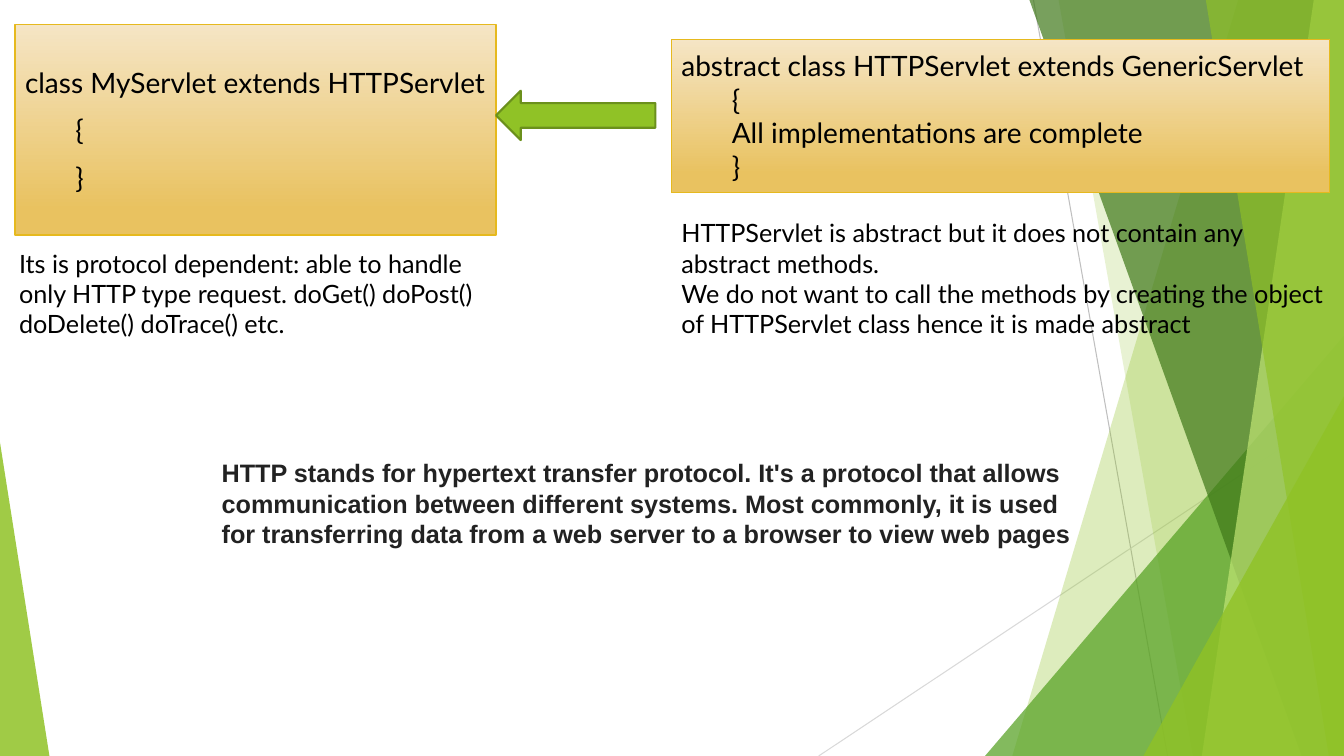
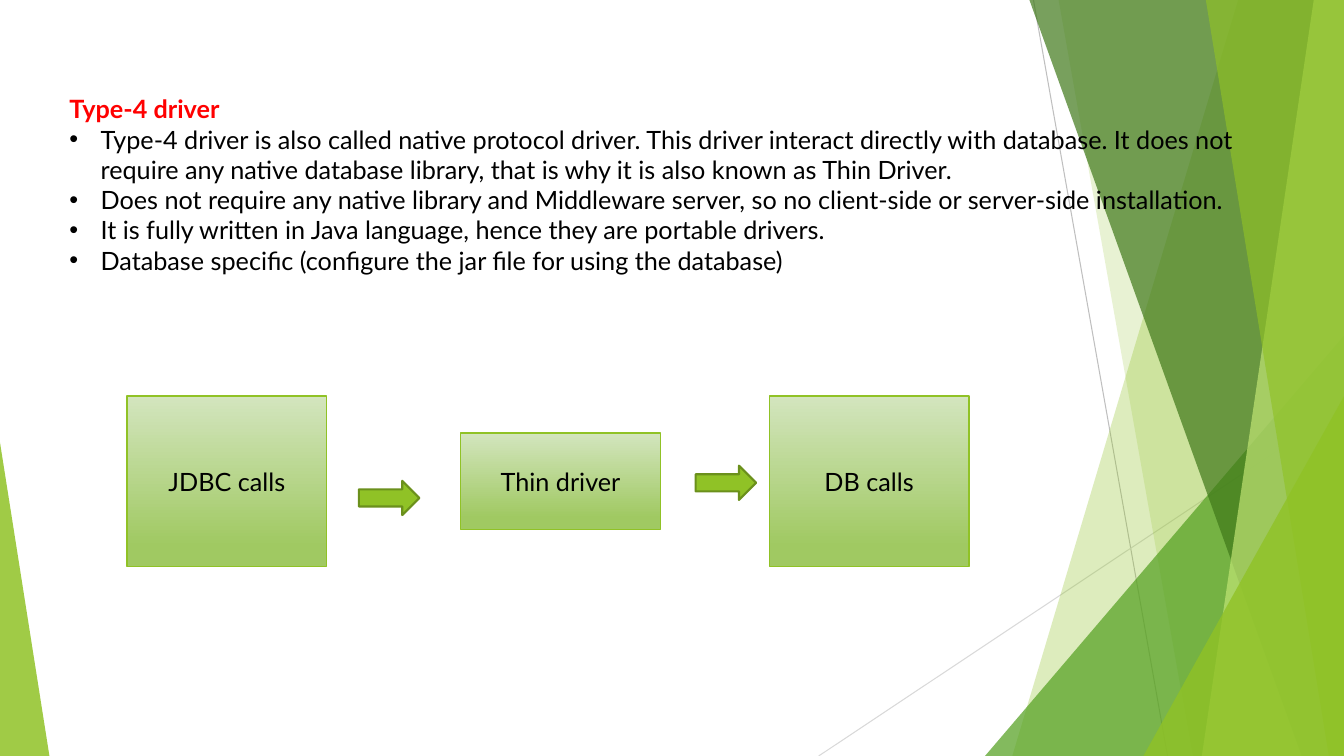
import dataclasses
import typing

import lxml.etree
import pptx
import pptx.dml.color
import pptx.enum.shapes
import pptx.enum.text
import pptx.oxml.ns
import pptx.util

Inches = pptx.util.Inches
Shape = pptx.enum.shapes.MSO_SHAPE
Align = pptx.enum.text.PP_ALIGN


@dataclasses.dataclass(frozen=True)
class Theme:
    """Colours, fonts and sizes shared by the slides."""

    lime: str = "90C226"
    lime_edge: str = "6B901C"
    pale_lime: str = "C0E474"
    leaf: str = "54A021"
    forest: str = "3F7819"
    ray: str = "BFBFBF"
    faint_ray: str = "D9D9D9"
    gold: tuple = ("F5E5C5", "E9C260")
    gold_edge: str = "E6B91E"
    green: tuple = ("D3E5BE", "A0C962")
    ink: str = "000000"
    soft_ink: str = "222222"
    heading: str = "FF0000"
    font: str = "Lato"
    note_font: str = "Arial"
    body_size: int = 18
    code_size: int = 20
    panel_line: float = 1
    arrow_line: float = 1.5
    ray_line: float = 0.75


THEME = Theme()


class Box(typing.NamedTuple):
    """A rectangle in inches."""

    left: float
    top: float
    width: float
    height: float

    def inside(self, left, top, width, height):
        """Return a box placed relative to this one."""
        return Box(self.left + left, self.top + top, width, height)

    def lengths(self):
        """Return the four sides as lengths."""
        return [Inches(value) for value in self]


PAGE = Box(0, 0, 13.33, 7.5)


def rgb(color):
    """Turn a hexadecimal string into a colour."""
    return pptx.dml.color.RGBColor.from_string(color)


def add_child(parent, tag, **attributes):
    """Append a DrawingML element with attributes."""
    child = lxml.etree.SubElement(parent, pptx.oxml.ns.qn(tag))
    for name, value in attributes.items():
        child.set(name, value)
    return child


def paint_glass(shape, color, opacity):
    """Fill a shape with a see-through colour and no outline."""
    shape.shadow.inherit = False
    shape.fill.solid()
    shape.fill.fore_color.rgb = rgb(color)
    shape.line.fill.background()
    solid = shape.element.spPr.xpath("./a:solidFill/a:srgbClr")[0]
    add_child(solid, "a:alpha", val=str(opacity * 1000))


def add_ray(slide, start, end, color):
    """Draw a thin background line."""
    ray = slide.shapes.add_connector(
        pptx.enum.shapes.MSO_CONNECTOR.STRAIGHT,
        *[Inches(value) for value in start + end],
    )
    ray.line.color.rgb = rgb(color)
    ray.line.width = pptx.util.Pt(THEME.ray_line)
    add_child(ray.element.spPr, "a:effectLst")


def add_band(slide, page, top_left, bottom_left, color, opacity):
    """Draw a slanted band that reaches the right edge of the page."""
    right, bottom = page.left + page.width, page.top + page.height
    corners = [(top_left, page.top), (right, page.top), (right, bottom), (bottom_left, bottom)]
    points = [(Inches(x), Inches(y)) for x, y in corners]
    builder = slide.shapes.build_freeform(*points[0])
    builder.add_line_segments(points[1:], close=True)
    paint_glass(builder.convert_to_shape(), color, opacity)


def add_corner(slide, page, width, height, peak, color, opacity):
    """Draw a right triangle standing in a lower corner of the page."""
    left = peak * (page.width - width)
    box = page.inside(left, page.height - height, width, height)
    corner = slide.shapes.add_shape(Shape.ISOSCELES_TRIANGLE, *box.lengths())
    corner.adjustments[0] = peak
    paint_glass(corner, color, opacity)


def draw_backdrop(slide, page):
    """Draw the faceted background shared by the slides."""
    add_ray(slide, (10.25, 0), (11.58, page.height), THEME.ray)
    add_ray(slide, (page.width, 4.03), (8.12, page.height), THEME.faint_ray)
    add_band(slide, page, 12.28, 10.04, THEME.lime, 30)
    add_band(slide, page, 10.5, 11.83, THEME.lime, 20)
    add_corner(slide, page, 3.56, 4.17, 1, THEME.leaf, 72)
    add_band(slide, page, 10.21, 12.91, THEME.forest, 70)
    add_band(slide, page, 13.03, 11.92, THEME.pale_lime, 70)
    add_band(slide, page, 11.96, 13.18, THEME.lime, 65)
    add_corner(slide, page, 1.99, 3.57, 1, THEME.lime, 80)
    add_corner(slide, page, 0.49, 3.11, 0, THEME.lime, 85)


def style_paragraph(paragraph, size, color=THEME.ink, font=THEME.font, bold=False):
    """Format every run of a paragraph."""
    for run in paragraph.runs:
        run.font.size = pptx.util.Pt(size)
        run.font.name = font
        run.font.bold = bold
        run.font.color.rgb = rgb(color)


def write_lines(shape, lines, size, alignment=Align.LEFT, **style):
    """Write one paragraph per line and return the paragraphs."""
    frame = shape.text_frame
    frame.word_wrap = True
    frame.text = "\n".join(lines)
    for paragraph in frame.paragraphs:
        paragraph.alignment = alignment
        style_paragraph(paragraph, size, **style)
    return frame.paragraphs


def indent_paragraph(paragraph, margin, first_line=0.0):
    """Set the left margin and first line indent and return the properties."""
    properties = paragraph._p.get_or_add_pPr()
    properties.set("marL", str(Inches(margin)))
    properties.set("indent", str(Inches(first_line)))
    return properties


def add_note(slide, box, lines, **style):
    """Add a plain text box and return its paragraphs."""
    note = slide.shapes.add_textbox(*box.lengths())
    paragraphs = write_lines(note, lines, THEME.body_size, **style)
    note.text_frame.auto_size = pptx.enum.text.MSO_AUTO_SIZE.SHAPE_TO_FIT_TEXT
    return paragraphs


def add_panel(slide, box, colors, edge):
    """Add a rectangle with a downward gradient."""
    panel = slide.shapes.add_shape(Shape.RECTANGLE, *box.lengths())
    panel.shadow.inherit = False
    panel.fill.gradient()
    panel.fill.gradient_angle = 270
    for stop, color, position in zip(panel.fill.gradient_stops, colors, (0, 0.88)):
        stop.color.rgb = rgb(color)
        stop.position = position
    panel.line.color.rgb = rgb(edge)
    panel.line.width = pptx.util.Pt(THEME.panel_line)
    panel.text_frame.vertical_anchor = pptx.enum.text.MSO_ANCHOR.MIDDLE
    return panel


def add_arrow(slide, box, kind):
    """Add a block arrow."""
    arrow = slide.shapes.add_shape(kind, *box.lengths())
    arrow.shadow.inherit = False
    arrow.fill.solid()
    arrow.fill.fore_color.rgb = rgb(THEME.lime)
    arrow.line.color.rgb = rgb(THEME.lime_edge)
    arrow.line.width = pptx.util.Pt(THEME.arrow_line)


def add_class_panel(slide, box, lines, space_before=0):
    """Add a gold panel with a class declaration and its indented body."""
    panel = add_panel(slide, box, THEME.gold, THEME.gold_edge)
    paragraphs = write_lines(panel, lines, THEME.code_size)
    for paragraph in paragraphs:
        paragraph.space_before = pptx.util.Pt(space_before)
    for paragraph in paragraphs[1:]:
        paragraph.level = 1
        indent_paragraph(paragraph, 0.5)


def add_bullet_list(slide, box, heading, items):
    """Add a red heading followed by bulleted items."""
    title, *bullets = add_note(slide, box, [heading, *items])
    style_paragraph(title, THEME.body_size, color=THEME.heading, bold=True)
    for bullet in bullets:
        properties = indent_paragraph(bullet, 0.31, -0.31)
        add_child(properties, "a:buFont", typeface=THEME.note_font)
        add_child(properties, "a:buChar", char="•")


def add_driver_flow(slide, box):
    """Add the three driver stages and the arrows between them."""
    stages = [("JDBC calls", 0, 1.69), ("Thin driver", 3.31, 0.96), ("DB calls", 6.37, 1.69)]
    for label, left, height in stages:
        place = box.inside(left, (box.height - height) / 2, 1.98, height)
        panel = add_panel(slide, place, THEME.green, THEME.lime)
        write_lines(panel, [label], THEME.body_size, Align.CENTER)
    for left, top in [(2.3, 0.84), (5.64, 0.69)]:
        add_arrow(slide, box.inside(left, top, 0.6, 0.34), Shape.RIGHT_ARROW)


def build_servlet_slide(slide, page):
    """Compare a servlet class with its abstract parent."""
    draw_backdrop(slide, page)
    add_class_panel(
        slide,
        page.inside(0.15, 0.24, 4.77, 2.09),
        ["class MyServlet extends HTTPServlet", "{", "}"],
        space_before=10,
    )
    add_class_panel(
        slide,
        page.inside(6.66, 0.39, 6.53, 1.52),
        [
            "abstract class HTTPServlet extends GenericServlet",
            "{",
            "All implementations are complete",
            "}",
        ],
    )
    add_arrow(slide, page.inside(4.92, 0.9, 1.58, 0.49), Shape.LEFT_ARROW)
    add_note(slide, page.inside(6.66, 2.11, 6.67, 1.31), [
        "HTTPServlet is abstract but it does not contain any abstract methods.",
        "We do not want to call the methods by creating the object of HTTPServlet class "
        "hence it is made abstract",
    ])
    add_note(slide, page.inside(0.09, 2.41, 4.82, 1.01), [
        "Its is protocol dependent: able to handle only HTTP type request. "
        "doGet() doPost() doDelete() doTrace() etc.",
    ])
    add_note(slide, page.inside(2.1, 4.49, 8.78, 1.01), [
        "HTTP stands for hypertext transfer protocol. It's a protocol that allows "
        "communication between different systems. Most commonly, it is used for "
        "transferring data from a web server to a browser to view web pages",
    ], font=THEME.note_font, color=THEME.soft_ink, bold=True)


def build_driver_slide(slide, page):
    """Describe the thin driver and its call flow."""
    draw_backdrop(slide, page)
    add_bullet_list(slide, page.inside(0.59, 0.88, 11.82, 2.22), "Type-4 driver", [
        "Type-4 driver is also called native protocol driver. This driver interact directly "
        "with database. It does not require any native database library, that is why it is "
        "also known as Thin Driver.",
        "Does not require any native library and Middleware server, so no client-side or "
        "server-side installation.",
        "It is fully written in Java language, hence they are portable drivers.",
        "Database specific (configure the jar file for using the database)",
    ])
    add_driver_flow(slide, page.inside(1.26, 3.93, 8.35, 1.69))


def main():
    """Build and save the presentation."""
    presentation = pptx.Presentation()
    presentation.slide_width = Inches(PAGE.width)
    presentation.slide_height = Inches(PAGE.height)
    blank = presentation.slide_layouts[6]
    for build in (build_servlet_slide, build_driver_slide):
        build(presentation.slides.add_slide(blank), PAGE)
    presentation.save("out.pptx")


if __name__ == "__main__":
    main()
